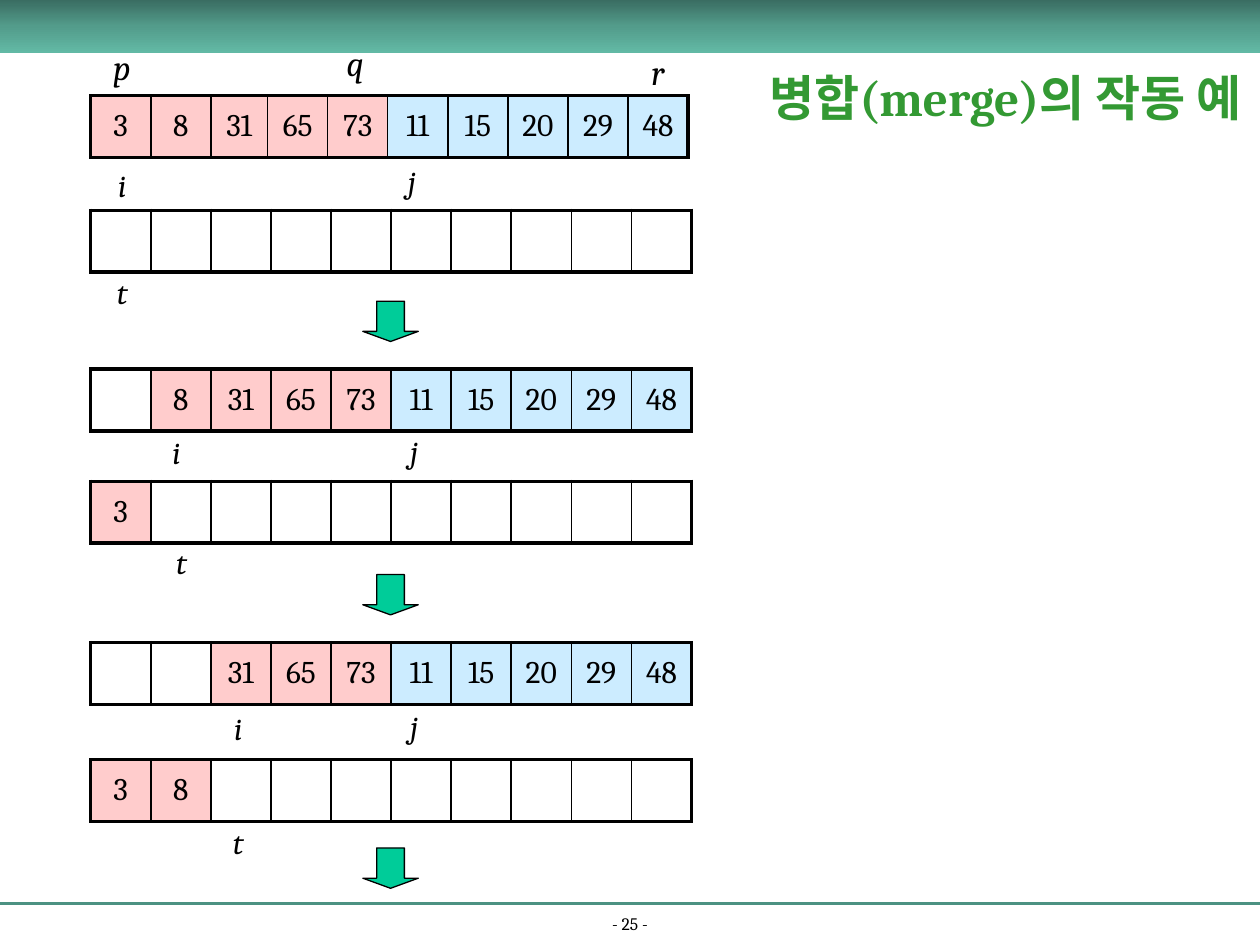
from lxml import etree
from pptx import Presentation
from pptx.dml.color import RGBColor
from pptx.enum.shapes import MSO_CONNECTOR, MSO_SHAPE
from pptx.enum.text import MSO_ANCHOR, MSO_AUTO_SIZE, PP_ALIGN
from pptx.oxml.ns import qn
from pptx.util import Inches, Pt

COLORS = {
    "text": "000000", "title": "339933", "rule": "4C9282", "arrow": "00CC99",
    "left_run": "FFCCCC", "right_run": "CCECFF",
    "band_top": "3A6D62", "band_middle": "539C8B", "band_bottom": "62B9A5",
}
FONT = "Cambria"
LEFT_RUN = [3, 8, 31, 65, 73]
RIGHT_RUN = [11, 15, 20, 29, 48]
VALUES = LEFT_RUN + RIGHT_RUN
CELL = 0.477
ARRAY_LEFT = 0.72
FIRST_TOP, STAGE_STEP = 0.76, 2.17

STAGES = [
    {"target": 0.91, "i": (0.84, 0.51), "j": (3.14, 0.48), "t": (0.83, 1.36)},
    {"target": 0.89, "i": (1.27, 0.46), "j": (3.16, 0.45), "t": (1.30, 1.33)},
    {"target": 0.93, "i": (1.76, 0.48), "j": (3.16, 0.46), "t": (1.75, 1.38)},
]
BOUNDS = {"p": (0.80, 0.31), "q": (2.65, 0.28), "r": (5.07, 0.35)}


def rgb(name):
    return RGBColor.from_string(COLORS[name])


def style(para, size, color="text", bold=False, italic=False):
    para.font.name = FONT
    para.font.size = Pt(size)
    para.font.bold = bold
    para.font.italic = italic
    para.font.color.rgb = rgb(color)


def add_border(cell, side, width):
    line = etree.SubElement(cell._tc.get_or_add_tcPr(), qn(f"a:ln{side}"), w=str(Pt(width)))
    fill = etree.SubElement(line, qn("a:solidFill"))
    etree.SubElement(fill, qn("a:srgbClr"), val=COLORS["text"])


def add_array(page, left, top, values, widths):
    count = len(values)
    frame = page.shapes.add_table(1, count, Inches(left), Inches(top),
                                  Inches(sum(widths)), Inches(0.49))
    table = frame.table
    table.first_row = table.horz_banding = False
    for index, (value, width) in enumerate(zip(values, widths)):
        table.columns[index].width = Inches(width)
        cell = table.cell(0, index)
        add_border(cell, "L", 2.25 if index == 0 else 1)
        add_border(cell, "R", 2.25 if index == count - 1 else 1)
        add_border(cell, "T", 2.25)
        add_border(cell, "B", 2.25)
        cell.vertical_anchor = MSO_ANCHOR.MIDDLE
        para = cell.text_frame.paragraphs[0]
        para.alignment = PP_ALIGN.CENTER
        style(para, 18)
        if value is None:
            cell.fill.background()
        else:
            para.text = str(value)
            cell.fill.solid()
            cell.fill.fore_color.rgb = rgb("left_run" if value in LEFT_RUN else "right_run")


def add_index(page, name, left, top, size=18):
    box = page.shapes.add_textbox(Inches(left), Inches(top), Inches(0.3), Inches(0.4))
    box.text_frame.word_wrap = False
    para = box.text_frame.paragraphs[0]
    para.text = name
    style(para, size, italic=True)


def add_arrow(page, left, top):
    arrow = page.shapes.add_shape(MSO_SHAPE.DOWN_ARROW, Inches(left), Inches(top),
                                  Inches(0.44), Inches(0.32))
    arrow.adjustments[0], arrow.adjustments[1] = 0.5, 0.25
    arrow.shadow.inherit = False
    arrow.fill.solid()
    arrow.fill.fore_color.rgb = rgb("arrow")
    arrow.line.color.rgb = rgb("text")
    arrow.line.width = Pt(0.75)


def add_stage(page, left, top, merged, stage):
    widths = [CELL] * len(VALUES)
    source_widths = list(widths)
    if merged == 0:
        source_widths[2] = 0.45
    source = [None] * merged + VALUES[merged:]
    target = LEFT_RUN[:merged] + [None] * (len(VALUES) - merged)
    add_array(page, left, top, source, source_widths)
    add_array(page, left, top + stage["target"], target, widths)
    for name in "ijt":
        label_left, offset = stage[name]
        add_index(page, name, label_left, top + offset)
    add_arrow(page, left + 2.16, top + 1.63)


def add_band(page, left, top, width, height):
    band = page.shapes.add_shape(MSO_SHAPE.RECTANGLE, Inches(left), Inches(top),
                                 Inches(width), Inches(height))
    band.shadow.inherit = False
    band.line.fill.background()
    band.fill.gradient()
    band.fill.gradient_angle = 270
    stops = band.fill._fill._gradFill.find(qn("a:gsLst"))
    for stop in list(stops):
        stops.remove(stop)
    for position, name in ((0, "band_top"), (50000, "band_middle"), (100000, "band_bottom")):
        stop = etree.SubElement(stops, qn("a:gs"), pos=str(position))
        etree.SubElement(stop, qn("a:srgbClr"), val=COLORS[name])


def add_footer(page, left, top, width):
    rule = page.shapes.add_connector(MSO_CONNECTOR.STRAIGHT, Inches(left), Inches(top),
                                     Inches(left + width), Inches(top))
    rule.line.color.rgb = rgb("rule")
    rule.line.width = Pt(1.5)
    etree.SubElement(rule._element.spPr, qn("a:effectLst"))
    box = page.shapes.add_textbox(Inches(left), Inches(top + 0.07), Inches(width), Inches(0.22))
    box.text_frame.word_wrap = True
    box.text_frame.vertical_anchor = MSO_ANCHOR.BOTTOM
    para = box.text_frame.paragraphs[0]
    para.text = "- 25 -"
    para.alignment = PP_ALIGN.CENTER
    style(para, 10)


def place_title(page, left, top, width, height):
    title = page.shapes.title
    title.left, title.top = Inches(left), Inches(top)
    title.width, title.height = Inches(width), Inches(height)
    title.text_frame.text = "병합(merge)의 작동 예"
    title.text_frame.word_wrap = True
    title.text_frame.auto_size = MSO_AUTO_SIZE.NONE
    title.text_frame.vertical_anchor = MSO_ANCHOR.MIDDLE
    para = title.text_frame.paragraphs[0]
    para.alignment = PP_ALIGN.CENTER
    style(para, 28, "title", bold=True)
    page.shapes._spTree.append(title._element)


def main():
    deck = Presentation()
    deck.slide_width, deck.slide_height = Inches(10), Inches(7.5)
    page = deck.slides.add_slide(deck.slide_layouts[5])
    add_footer(page, 0, 7.17, 10)
    add_band(page, 0, 0, 10, 0.42)
    for merged, stage in enumerate(STAGES):
        add_stage(page, ARRAY_LEFT, FIRST_TOP + merged * STAGE_STEP, merged, stage)
    for name, (left, top) in BOUNDS.items():
        add_index(page, name, left, top, size=20)
    place_title(page, 5.96, 0.33, 4.04, 0.88)
    deck.save("out.pptx")


if __name__ == "__main__":
    main()
